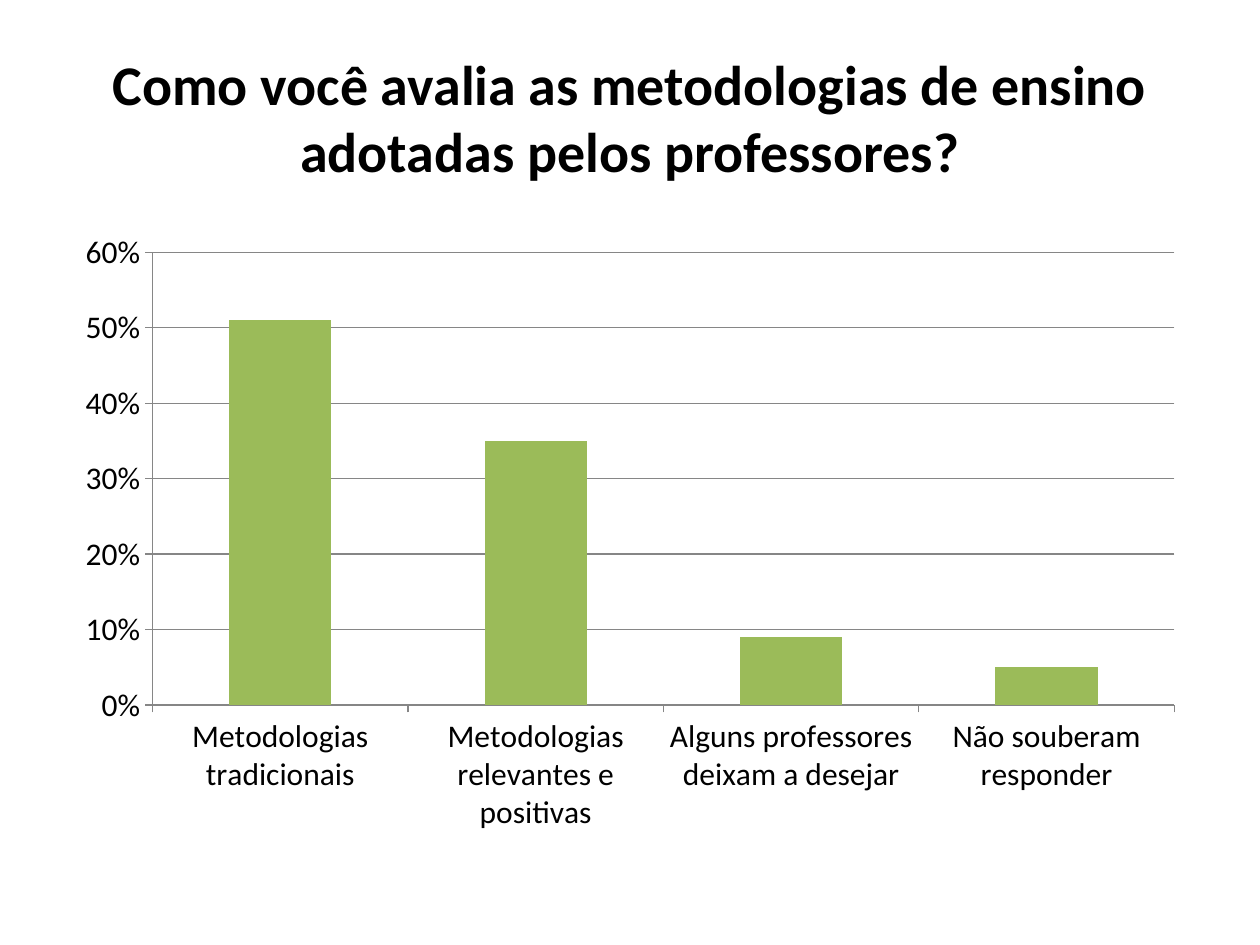
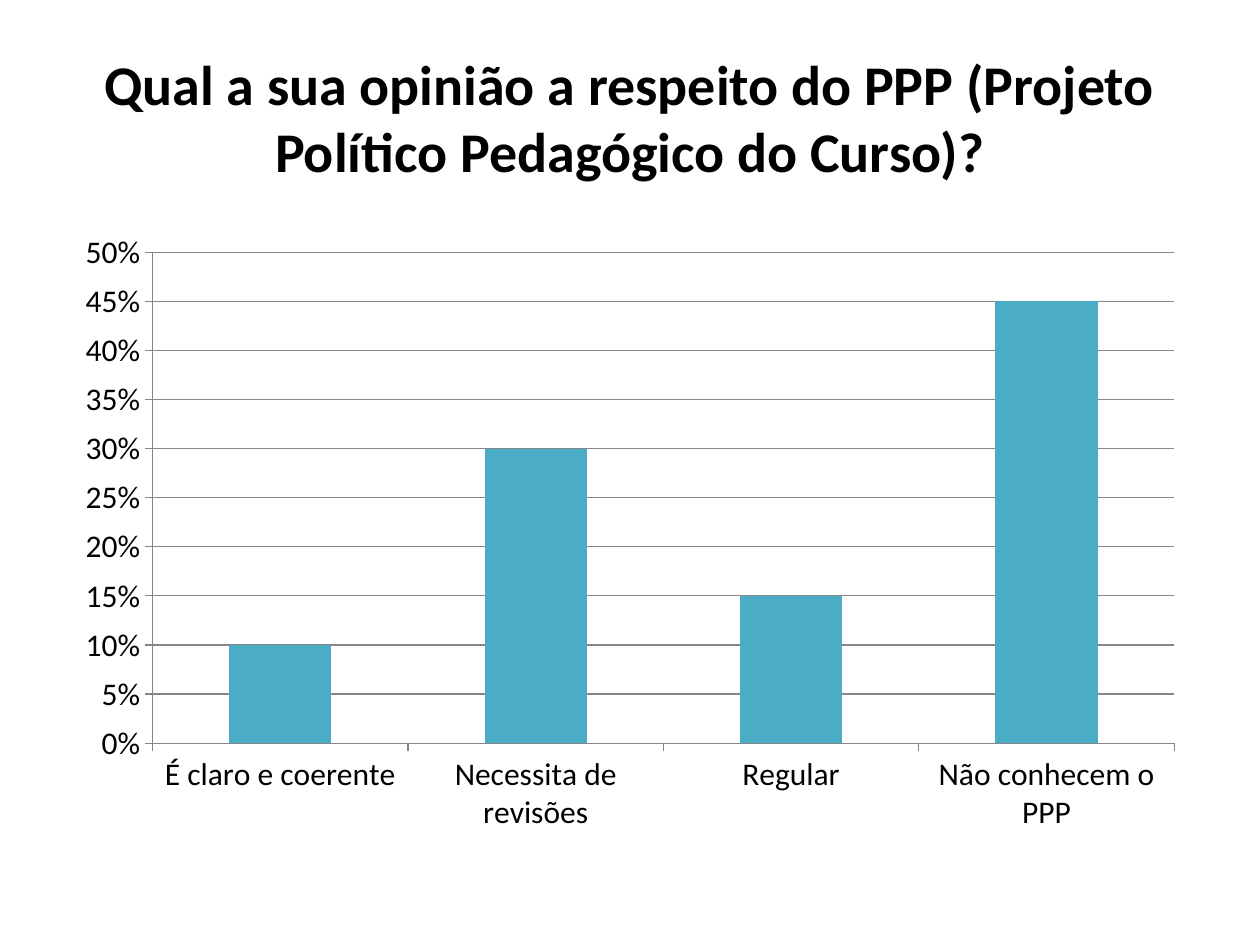
from dataclasses import dataclass

from pptx import Presentation
from pptx.chart.data import CategoryChartData as Data
from pptx.dml.color import RGBColor as Rgb
from pptx.enum.chart import XL_CHART_TYPE as Kind, XL_TICK_MARK as Tick
from pptx.enum.text import MSO_ANCHOR as Anchor, PP_ALIGN as Align
from pptx.util import Cm, Pt


@dataclass
class Theme:
    """Colours, font and type sizes of the deck."""
    ink: Rgb = Rgb(0, 0, 0)
    line: Rgb = Rgb(0x86, 0x86, 0x86)
    green: Rgb = Rgb(0x9B, 0xBB, 0x59)
    teal: Rgb = Rgb(0x4B, 0xAC, 0xC6)
    face: str = "Calibri"
    head: int = 32
    label: int = 18


theme = Theme()


def style(font, size, bold=False):
    """Give a font the deck's face and ink."""
    font.name = theme.face
    font.size = Pt(size)
    font.bold = bold
    font.color.rgb = theme.ink


def write(shape, text, size=theme.head, bold=True, align=Align.CENTER):
    """Put formatted text in a shape."""
    frame = shape.text_frame
    frame.word_wrap = True
    frame.vertical_anchor = Anchor.MIDDLE
    para = frame.paragraphs[0]
    para.alignment = align
    run = para.add_run()
    run.text = text
    style(run.font, size, bold)


# Question, bar colour, axis top, axis step, answers
polls = [
    ("Como você avalia as metodologias de ensino adotadas pelos professores?",
     theme.green, 0.6, 0.1,
     {"Metodologias tradicionais": 0.51,
      "Metodologias relevantes e positivas": 0.35,
      "Alguns professores deixam a desejar": 0.09,
      "Não souberam responder": 0.05}),
    ("Qual a sua opinião a respeito do PPP (Projeto Político Pedagógico do Curso)?",
     theme.teal, 0.5, 0.05,
     {"É claro e coerente": 0.1,
      "Necessita de revisões": 0.3,
      "Regular": 0.15,
      "Não conhecem o PPP": 0.45}),
]

deck = Presentation()
deck.slide_width, deck.slide_height = Cm(25.4), Cm(19.05)
left, width = Cm(1.27), Cm(22.86)

for question, colour, top, step, answers in polls:
    slide = deck.slides.add_slide(deck.slide_layouts[5])

    title = slide.shapes.title
    title.left, title.top = left, Cm(0.76)
    title.width, title.height = width, Cm(3.18)
    write(title, question)

    data = Data(number_format="0%")
    data.categories = list(answers)
    data.add_series("Series 1", list(answers.values()))
    chart = slide.shapes.add_chart(
        Kind.COLUMN_STACKED, left, Cm(4.45), width, Cm(12.57), data).chart
    chart.has_legend = False
    chart.has_title = False
    style(chart.font, theme.label)

    plot = chart.plots[0]
    plot.gap_width = 150
    plot.overlap = 100
    plot.vary_by_categories = False
    fill = plot.series[0].format.fill
    fill.solid()
    fill.fore_color.rgb = colour

    scale = chart.value_axis
    scale.minimum_scale, scale.maximum_scale = 0, top
    scale.major_unit = step
    scale.has_major_gridlines = True
    scale.tick_labels.number_format = "0%"
    scale.tick_labels.number_format_is_linked = False
    for axis in (scale, chart.category_axis):
        axis.major_tick_mark = Tick.OUTSIDE
        axis.minor_tick_mark = Tick.NONE
    for part in (scale, chart.category_axis, scale.major_gridlines):
        part.format.line.color.rgb = theme.line
        part.format.line.width = Pt(0.75)

deck.save("out.pptx")
